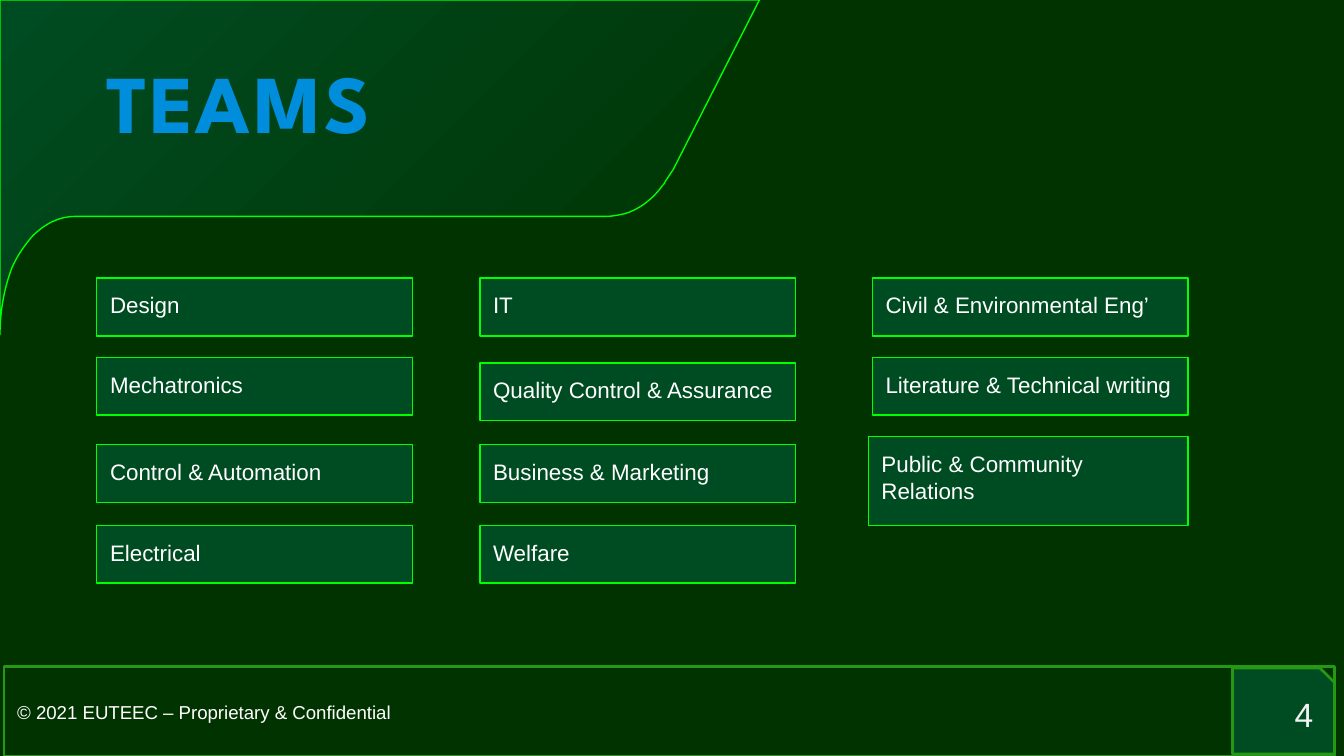
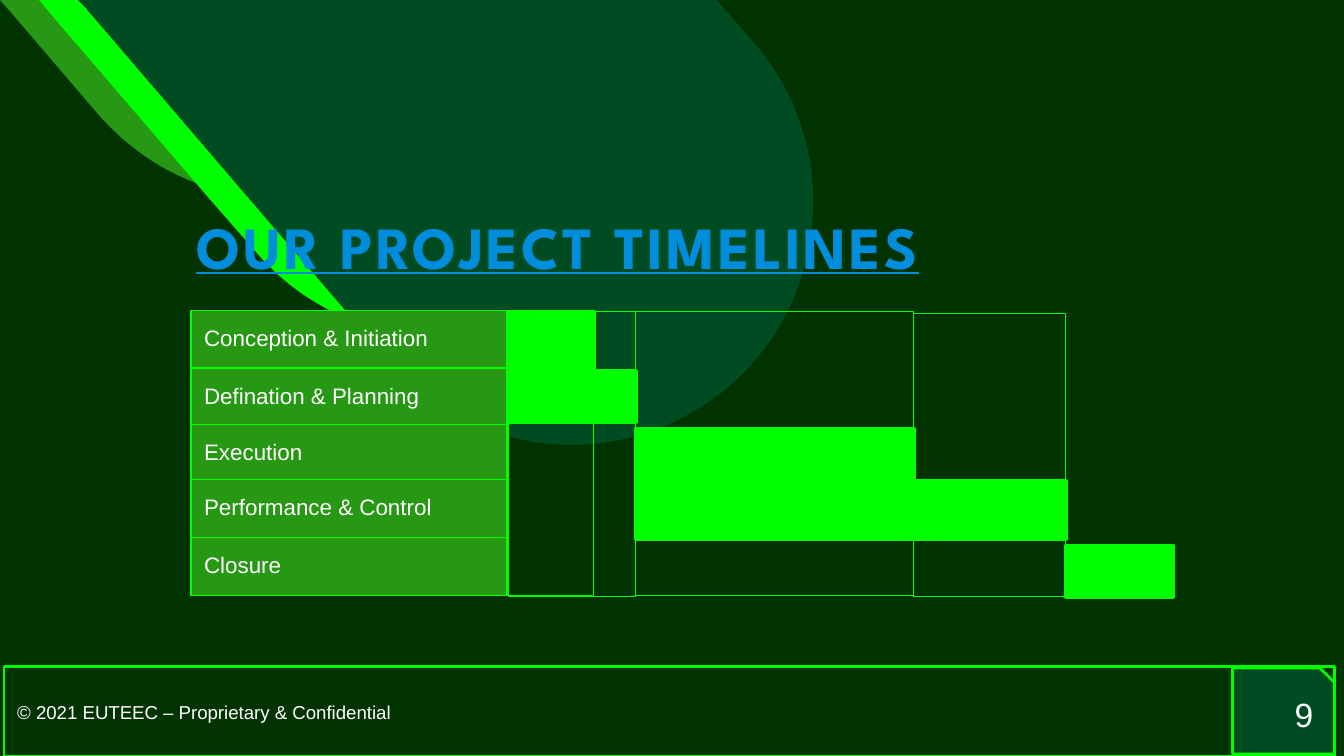
from lxml.etree import SubElement, fromstring
from pptx import Presentation
from pptx.dml.color import RGBColor
from pptx.enum.shapes import MSO_SHAPE as Shape
from pptx.enum.text import MSO_ANCHOR as Anchor, MSO_AUTO_SIZE as AutoSize, PP_ALIGN as Align
from pptx.oxml.ns import nsdecls, qn
from pptx.util import Inches, Pt

WIDTH, HEIGHT = 10, 10 * 9 / 16
COLORS = {"night": "003300", "teal": "004C22", "lime": "00FF00", "leaf": "279814",
          "white": "FFFFFF", "mist": "F2F2F2", "blue": "008EDC", "pink": "D30F64"}
BODY_FONT, TITLE_FONT = "Arial", "League Spartan"
COPYRIGHT = "© 2021 EUTEEC – Proprietary & Confidential"
BOX_W, BOX_H = 2.35, 0.43

# Each column: left edge, then the name and top of each team
TEAM_COLUMNS = [
    (0.72, [("Design", 2.07), ("Mechatronics", 2.66),
            ("Control & Automation", 3.31), ("Electrical", 3.91)]),
    (3.57, [("IT", 2.07), ("Quality Control & Assurance", 2.7),
            ("Business & Marketing", 3.31), ("Welfare", 3.91)]),
    (6.49, [("Civil & Environmental Eng’", 2.07), ("Literature & Technical writing", 2.66)]),
]
WIDE_TEAM = ("Public & Community Relations", (6.46, 3.25, 2.38, 0.66))

# Each phase: name, label top, first and last time mark, bar top, bar height
PHASE_LEFT = 1.42
TIME_MARKS = [3.78, 4.42, 4.73, 6.8, 7.93, 8.73]
PHASES = [
    ("Conception & Initiation", 2.31, 0, 1, 2.32, 0.43),
    ("Defination & Planning", 2.74, 0, 2, 2.76, 0.38),
    ("Execution", 3.16, 2, 3, 3.19, 0.4),
    ("Performance & Control", 3.57, 2, 4, 3.58, 0.43),
    ("Closure", 4, 4, 5, 4.06, 0.38),
]
# Each frame: first and last time mark, top, height
TIME_FRAMES = [(0, 2, 2.32, 2.12), (2, 3, 2.32, 2.11), (3, 4, 2.33, 2.11), (0, 1, 2.32, 2.11)]

# Outlines: a pair is a straight step, six numbers are a Bézier curve
TITLE_PANEL = [
    (5.65, 0), (5.01, 1.26), (4.99, 1.29, 4.97, 1.32, 4.95, 1.35),
    (4.95, 1.36, 4.94, 1.37, 4.93, 1.38), (4.85, 1.49, 4.75, 1.56, 4.65, 1.59),
    (4.6, 1.6, 4.56, 1.61, 4.51, 1.61), (0.56, 1.61),
    (0.45, 1.61, 0.33, 1.66, 0.23, 1.77), (0.18, 1.83, 0.13, 1.9, 0.09, 1.99),
    (0.04, 2.12, 0, 2.29, 0, 2.49), (0, 0),
]
LEAVES = [
    ("leaf", [(3.87, 0), (0, 0), (0.08, 0.09), (0.73, 0.85),
              (0.97, 1.12, 1.26, 1.31, 1.58, 1.4), (1.71, 1.44, 1.84, 1.47, 1.98, 1.47),
              (2.02, 1.48, 2.06, 1.48, 2.1, 1.48), (2.52, 1.48, 2.93, 1.34, 3.27, 1.04),
              (3.56, 0.79, 3.75, 0.48, 3.84, 0.14)]),
    ("lime", [(4.93, 0), (0.29, 0), (0.39, 0.12), (1.55, 1.47), (1.9, 1.87),
              (2.12, 2.13, 2.4, 2.31, 2.69, 2.41), (2.88, 2.47, 3.07, 2.5, 3.27, 2.5),
              (3.69, 2.5, 4.1, 2.36, 4.44, 2.06), (5.02, 1.57, 5.2, 0.79, 4.97, 0.12)]),
    ("teal", [(5.33, 0), (0.58, 0), (0.63, 0.05), (1.95, 1.59), (2.7, 2.46), (2.89, 2.68),
              (3.24, 3.09, 3.75, 3.31, 4.25, 3.31), (4.67, 3.31, 5.09, 3.16, 5.43, 2.87),
              (6.18, 2.22, 6.26, 1.08, 5.62, 0.33), (5.55, 0.25, 5.49, 0.18, 5.43, 0.11)]),
]


def rgb(name):
    return RGBColor.from_string(COLORS[name])


def swap_gradient(holder, stops, direction):
    """Put a gradient in place of the solid fill inside an XML element."""
    marks = "".join(f'<a:gs pos="{share * 1000}"><a:srgbClr val="{COLORS[color]}"/></a:gs>'
                    for share, color in stops)
    blend = fromstring(f'<a:gradFill {nsdecls("a")} rotWithShape="1">'
                       f'<a:gsLst>{marks}</a:gsLst>{direction}</a:gradFill>')
    holder.replace(holder.find(qn("a:solidFill")), blend)


def paint(shape, fill=None, line=None, weight=0.75):
    shape.shadow.inherit = False
    if fill:
        shape.fill.solid()
        shape.fill.fore_color.rgb = rgb(fill)
    else:
        shape.fill.background()
    if line:
        shape.line.color.rgb = rgb(line)
        shape.line.width = Pt(weight)
    else:
        shape.line.fill.background()
    return shape


def set_insets(frame, side, end):
    frame.margin_left = frame.margin_right = Inches(side)
    frame.margin_top = frame.margin_bottom = Inches(end)


def write(shape, text, size, color="white", anchor=Anchor.TOP, align=Align.LEFT):
    frame = shape.text_frame
    frame.word_wrap = True
    frame.vertical_anchor = anchor
    set_insets(frame, 0.1, 0.1)
    paragraph = frame.paragraphs[0]
    paragraph.text = text
    paragraph.alignment = align
    paragraph.font.name, paragraph.font.size = BODY_FONT, Pt(size)
    paragraph.font.color.rgb = rgb(color)


def add_box(slide, place, fill=None, line="lime", weight=0.75, kind=Shape.RECTANGLE):
    return paint(slide.shapes.add_shape(kind, *map(Inches, place)), fill, line, weight)


def add_label(slide, text, place, fill):
    write(add_box(slide, place, fill), text, 12)


def sample(outline, steps=16):
    """Points along an outline in EMU, dense enough to find its extent."""
    points = []
    for part in outline:
        if len(part) == 2:
            points.append(part)
            continue
        corners = [points[-1], part[:2], part[2:4], part[4:]]
        for step in range(1, steps + 1):
            t = step / steps
            weights = ((1 - t) ** 3, 3 * t * (1 - t) ** 2, 3 * t * t * (1 - t), t ** 3)
            points.append(tuple(sum(w * c[axis] for w, c in zip(weights, corners))
                                for axis in (0, 1)))
    return [(Inches(x), Inches(y)) for x, y in points]


def add_outline(shapes, outline, fill, line=None):
    """Size a freeform by its sampled extent, then draw it with true curves."""
    start, *rest = sample(outline)
    builder = shapes.build_freeform(*start)
    builder.add_line_segments(rest)
    shape = builder.convert_to_shape()
    route = next(shape.element.iter(qn("a:path")))
    for child in list(route):
        route.remove(child)
    for index, part in enumerate(outline):
        kind = "a:cubicBezTo" if len(part) == 6 else "a:lnTo" if index else "a:moveTo"
        move = SubElement(route, qn(kind))
        for x, y in zip(part[::2], part[1::2]):
            SubElement(move, qn("a:pt"), x=str(Inches(x) - shape.left),
                       y=str(Inches(y) - shape.top))
    SubElement(route, qn("a:close"))
    return paint(shape, fill, line)


def new_slide(deck):
    slide = deck.slides.add_slide(deck.slide_layouts[5])
    slide.background.fill.solid()
    slide.background.fill.fore_color.rgb = rgb("night")
    return slide


def add_title(slide, text, place, size, underline=None, wrap=True):
    title = slide.shapes.title
    slide.shapes.element.append(title.element)  # bring to the front
    title.left, title.top, title.width, title.height = map(Inches, place)
    frame = title.text_frame
    frame.text = text
    frame.word_wrap = wrap
    frame.auto_size = AutoSize.SHAPE_TO_FIT_TEXT
    frame.vertical_anchor = Anchor.TOP
    set_insets(frame, 0.07, 0.04)
    frame.paragraphs[0].alignment = Align.LEFT
    font = frame.paragraphs[0].runs[0].font
    font.name, font.size = TITLE_FONT, Pt(size)
    font.bold, font.underline = True, underline
    font.color.rgb = rgb("blue")
    properties = next(title.element.iter(qn("a:rPr")))
    properties.set("spc", "150")
    swap_gradient(properties, [(0, "blue"), (100, "pink")], '<a:lin ang="0" scaled="0"/>')


def add_footer(slide, number, line, number_color):
    band = add_box(slide, (0.03, 4.96, 9.9, 0.67), None, line, 1.5)
    write(band, COPYRIGHT, 10, anchor=Anchor.MIDDLE)
    tab = add_box(slide, (9.17, 4.97, 0.76, 0.64), "teal", line, 1.5, Shape.SNIP_1_RECTANGLE)
    tab.adjustments[0] = 0.17
    page = slide.shapes.add_textbox(*map(Inches, (9.27, 5.1, 0.6, 0.43)))
    write(page, str(number), 18, number_color, Anchor.MIDDLE, Align.RIGHT)


def build_teams(deck):
    slide = new_slide(deck)
    panel = add_outline(slide.shapes, TITLE_PANEL, "teal", "lime")
    swap_gradient(panel.element.spPr, [(0, "lime"), (0, "night"), (100, "teal")],
                  '<a:path path="circle"><a:fillToRect l="100000" t="100000"/></a:path>')
    add_footer(slide, 4, "leaf", "mist")
    for left, teams in TEAM_COLUMNS:
        for team, top in teams:
            add_label(slide, team, (left, top, BOX_W, BOX_H), "teal")
    add_label(slide, *WIDE_TEAM, "teal")
    add_title(slide, "TEAMS", (0.72, 0.34, 2.45, 0.82), 44)


def build_timelines(deck):
    slide = new_slide(deck)
    leaves = slide.shapes.add_group_shape()
    for color, outline in LEAVES:
        add_outline(leaves.shapes, outline, color)
    add_footer(slide, 9, "lime", "white")
    for phase, top, *_ in PHASES:
        add_label(slide, phase, (PHASE_LEFT, top, BOX_W, BOX_H), "leaf")

    def span(first, last, top, height):
        left = TIME_MARKS[first]
        return left, top, TIME_MARKS[last] - left, height

    for _, _, *bar in PHASES:
        add_box(slide, span(*bar), "lime", weight=2)
    for frame in TIME_FRAMES:
        add_box(slide, span(*frame), weight=0.5)
    add_title(slide, "OUR PROJECT TIMELINES", (1.39, 1.52, 5.72, 0.61), 32,
              underline=True, wrap=False)


def main():
    deck = Presentation()
    deck.slide_width, deck.slide_height = Inches(WIDTH), Inches(HEIGHT)
    build_teams(deck)
    build_timelines(deck)
    deck.save("out.pptx")


if __name__ == "__main__":
    main()
